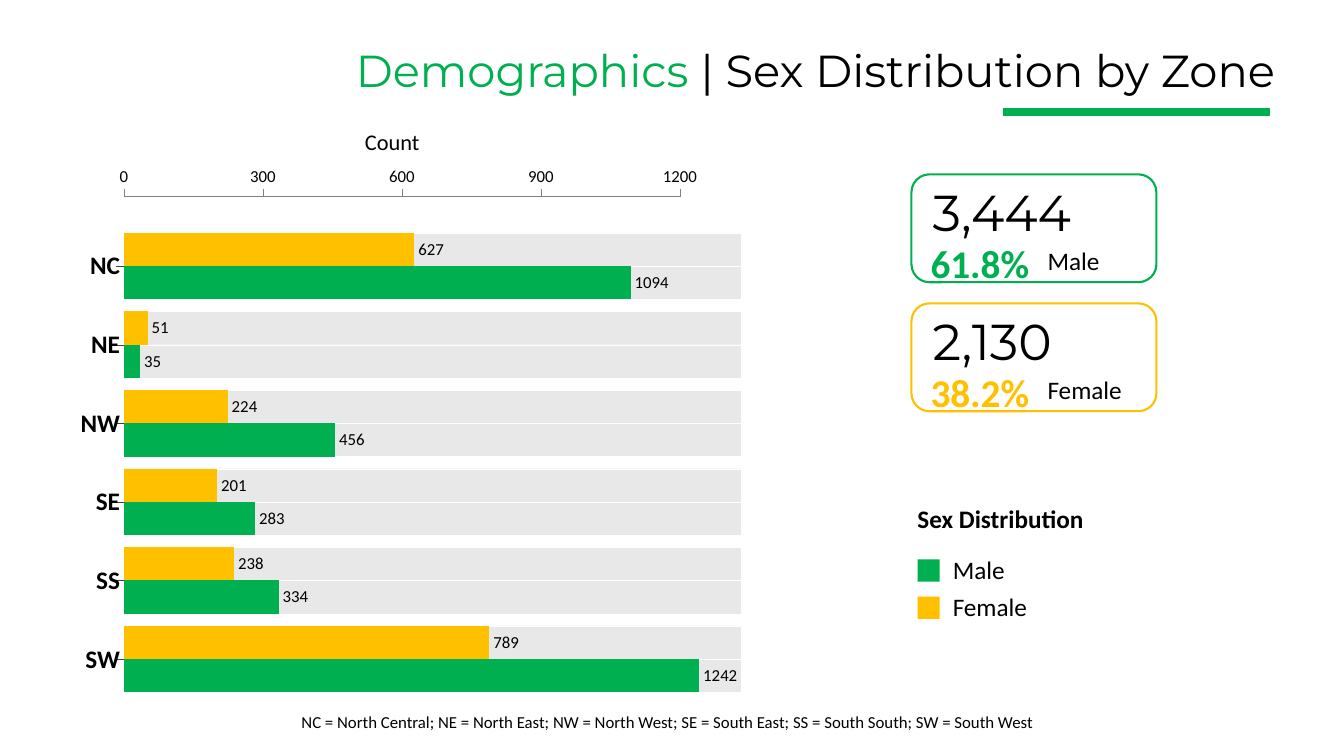
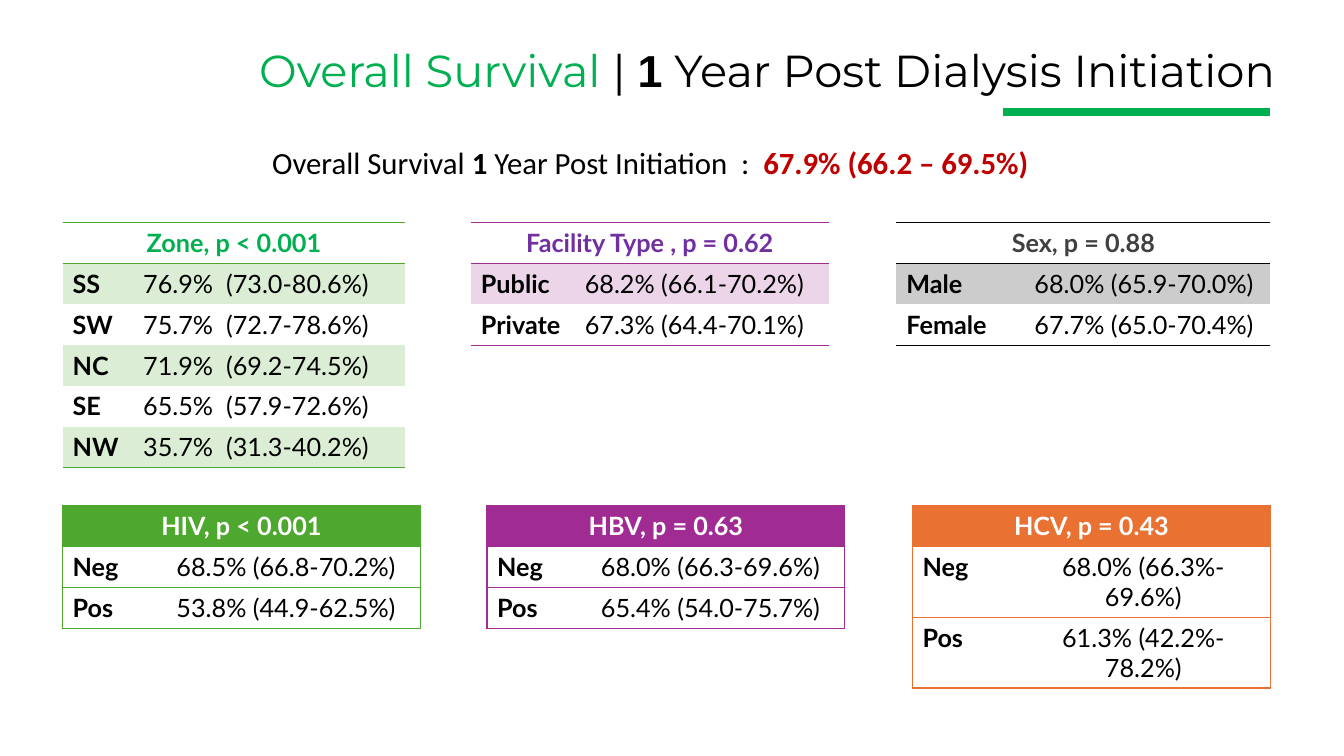
"""Build two dialysis registry slides: sex distribution by zone and one-year survival."""
from lxml import etree
from pptx import Presentation, util as u
from pptx.chart import data as chart_data
from pptx.dml.color import RGBColor
from pptx.enum import chart as chart_enum, shapes, text
from pptx.oxml import ns, parse_xml

GREEN, GOLD = RGBColor(0x00, 0xB0, 0x50), RGBColor(0xFF, 0xC0, 0x00)
BLACK, WHITE = RGBColor(0, 0, 0), RGBColor(0xFF, 0xFF, 0xFF)
TRACK, GREY, DARK = RGBColor(0xE8, 0xE8, 0xE8), RGBColor(0x80, 0x80, 0x80), RGBColor(0x40, 0x40, 0x40)
LEAF, PLUM = RGBColor(0x4E, 0xA7, 0x2E), RGBColor(0xA0, 0x2B, 0x93)
PURPLE, ORANGE, RED = RGBColor(0x70, 0x30, 0xA0), RGBColor(0xE9, 0x71, 0x32), RGBColor(0xC0, 0, 0)
LEFT, CENTER, RIGHT = text.PP_ALIGN.LEFT, text.PP_ALIGN.CENTER, text.PP_ALIGN.RIGHT
BODY, DISPLAY, TABLE_FONT = "Calibri", "Montserrat", "Lato"
WIDTH, HEIGHT = 13.33, 7.5
BAND_LEFT, BAND_RIGHT = 9.95, 12.6

ZONES = ["NC", "NE", "NW", "SE", "SS", "SW"]
COUNTS = [("Female", GOLD, [627, 51, 224, 201, 238, 789]),
          ("Male", GREEN, [1094, 35, 456, 283, 334, 1242])]
CARDS = [("3,444", "61.8%", "Male", GREEN), ("2,130", "38.2%", "Female", GOLD)]
ZONE_KEY = ("NC = North Central; NE = North East; NW = North West; "
            "SE = South East; SS = South South; SW = South West")
SCALE = [0, 300, 600, 900, 1200]
PLOT_LEFT, PLOT_WIDTH, PLOT_MAX = 1.23, 6.12, 1332
PLOT_TOP, ZONE_PITCH, BAR = 2.25, 0.78, 0.33
FRAME = (0.3, 2.1, 7.7, 5.0)

SURVIVAL = [("Overall Survival ", {}), ("1", {"bold": True}), (" Year Post Initiation  :  ", {}),
            ("67.9% (66.2 – 69.5%)", {"bold": True, "color": RED})]
ROW = 0.405
UPPER, LOWER = 2.21, 5.02
TABLES = [
    dict(at=(0.62, UPPER), columns=(0.7, 2.7), title="Zone, p < 0.001", ink=GREEN, accent=LEAF,
         rows=[("SS", "76.9%  (73.0-80.6%)"), ("SW", "75.7%  (72.7-78.6%)"),
               ("NC", "71.9%  (69.2-74.5%)"), ("SE", "65.5%  (57.9-72.6%)"),
               ("NW", "35.7%  (31.3-40.2%)")]),
    dict(at=(4.67, UPPER), columns=(1.03, 2.52), title="Facility Type , p = 0.62", ink=PURPLE, accent=PLUM,
         rows=[("Public", "68.2% (66.1-70.2%)"), ("Private", "67.3% (64.4-70.1%)")]),
    dict(at=(8.89, UPPER), columns=(1.27, 2.44), title="Sex, p = 0.88", ink=DARK, accent=BLACK,
         rows=[("Male", "68.0% (65.9-70.0%)"), ("Female", "67.7% (65.0-70.4%)")]),
    dict(at=(0.62, LOWER), columns=(1.03, 2.52), title="HIV, p < 0.001", accent=LEAF, boxed=True,
         rows=[("Neg", "68.5% (66.8-70.2%)"), ("Pos", "53.8% (44.9-62.5%)")]),
    dict(at=(4.83, LOWER), columns=(1.03, 2.52), title="HBV, p = 0.63", accent=PLUM, boxed=True,
         rows=[("Neg", "68.0% (66.3-69.6%)"), ("Pos", "65.4% (54.0-75.7%)")]),
    dict(at=(9.05, LOWER), columns=(1.03, 2.52), title="HCV, p = 0.43", accent=ORANGE, boxed=True,
         align=CENTER, rows=[("Neg", "68.0% (66.3%-69.6%)"), ("Pos", "61.3% (42.2%-78.2%)")]),
]


def inches(values):
    return [u.Inches(value) for value in values]


def style_font(font, size=18, name=BODY, bold=False, color=BLACK):
    for key, value in {"size": u.Pt(size), "name": name, "bold": bold}.items():
        setattr(font, key, value)
    font.color.rgb = color


def write(frame, spans, align=LEFT, **base):
    para = frame.paragraphs[0]
    para.alignment = align
    for words, change in spans:
        span = para.add_run()
        span.text = words
        style_font(span.font, **{**base, **change})


def add_text(page, at, spans, align=LEFT, **base):
    frame = page.shapes.add_textbox(*inches(at)).text_frame
    for side in ("left", "right", "top", "bottom"):
        setattr(frame, "margin_" + side, 0)
    frame.word_wrap = True
    spans = [(spans, {})] if isinstance(spans, str) else spans
    write(frame, spans, align, **base)


def add_box(page, at, fill=None, line=None, weight=0.1, kind=shapes.MSO_SHAPE.RECTANGLE):
    box = page.shapes.add_shape(kind, *inches(at))
    box.shadow.inherit = False
    for part, color in ((box.fill, fill), (box.line.fill, line)):
        if color is None:
            part.background()
        else:
            part.solid()
            part.fore_color.rgb = color
    if line is not None:
        box.line.width = u.Pt(weight)


def add_line(page, ends, color, weight):
    line = page.shapes.add_connector(shapes.MSO_CONNECTOR.STRAIGHT, *inches(ends))
    line.line.color.rgb = color
    line.line.width = u.Pt(weight)
    etree.SubElement(line.element.spPr, ns.qn("a:effectLst"))


def add_page(deck, topic, rest):
    page = deck.slides.add_slide(deck.slide_layouts[6])
    spans = [(topic + " ", {"color": GREEN}), ("| ", {}), *rest]
    add_text(page, (0.65, 0.42, 12, 0.54), spans, RIGHT, size=32, name=DISPLAY)
    add_line(page, (BAND_LEFT, 1.11, BAND_RIGHT, 1.11), GREEN, 6)
    return page


def clear_and_place(chart):
    """Make the chart see-through and pin its plot to the tracks."""
    left, top, width, height = FRAME
    shares = {"x": (PLOT_LEFT - left) / width, "y": (PLOT_TOP - top) / height,
              "w": PLOT_WIDTH / width, "h": ZONE_PITCH * len(ZONES) / height}
    marks = "".join(f'<c:{key} val="{value:.4f}"/>' for key, value in shares.items())
    layout = (f'<c:layout {ns.nsdecls("c")}><c:manualLayout><c:layoutTarget val="inner"/>'
              f'<c:xMode val="edge"/><c:yMode val="edge"/>{marks}</c:manualLayout></c:layout>')
    clear = f'<c:spPr {ns.nsdecls("c", "a")}><a:noFill/><a:ln><a:noFill/></a:ln></c:spPr>'
    body = chart.element.find(ns.qn("c:chart"))
    plot_area = body.find(ns.qn("c:plotArea"))
    for old in plot_area.findall(ns.qn("c:layout")):
        plot_area.remove(old)
    plot_area.insert(0, parse_xml(layout))
    plot_area.append(parse_xml(clear))
    body.addnext(parse_xml(clear))


def add_bars(page):
    figures = chart_data.CategoryChartData()
    figures.categories = ZONES
    for name, _, values in COUNTS:
        figures.add_series(name, values)
    chart = page.shapes.add_chart(chart_enum.XL_CHART_TYPE.BAR_CLUSTERED, *inches(FRAME), figures).chart
    style_font(chart.font, 12)
    chart.has_legend = chart.has_title = False
    plot = chart.plots[0]
    for key, value in {"gap_width": 36, "overlap": 0, "vary_by_categories": False,
                       "has_data_labels": True}.items():
        setattr(plot, key, value)
    plot.data_labels.show_value = True
    plot.data_labels.position = chart_enum.XL_LABEL_POSITION.OUTSIDE_END
    style_font(plot.data_labels.font, 12)
    for series, (_, color, _) in zip(plot.series, COUNTS):
        series.format.fill.solid()
        series.format.fill.fore_color.rgb = color
    value_axis, zone_axis = chart.value_axis, chart.category_axis
    for key, value in {"minimum_scale": 0, "maximum_scale": PLOT_MAX, "major_unit": 300,
                       "has_major_gridlines": False, "visible": False}.items():
        setattr(value_axis, key, value)
    zone_axis.reverse_order = True
    zone_axis.major_tick_mark = chart_enum.XL_TICK_MARK.NONE
    zone_axis.format.line.fill.background()
    style_font(zone_axis.tick_labels.font, 18, bold=True)
    clear_and_place(chart)


def add_scale(page):
    ticks = [PLOT_LEFT + PLOT_WIDTH * value / PLOT_MAX for value in SCALE]
    add_text(page, (2.89, 1.27, 2, 0.27), "Count", CENTER, size=16)
    add_line(page, (ticks[0], 1.95, ticks[-1], 1.95), GREY, 0.25)
    for value, x in zip(SCALE, ticks):
        add_line(page, (x, 1.88, x, 1.95), GREY, 0.25)
        add_text(page, (x - 0.3, 1.64, 0.6, 0.2), str(value), CENTER, size=12)


def build_demographics(deck):
    page = add_page(deck, "Demographics", [("Sex Distribution by Zone", {})])
    for number in range(len(ZONES)):
        middle = PLOT_TOP + ZONE_PITCH * (number + 0.5)
        for top in (middle - BAR, middle):
            add_box(page, (PLOT_LEFT, top, PLOT_WIDTH, BAR), TRACK, WHITE)
        add_line(page, (PLOT_LEFT - 0.08, middle, PLOT_LEFT, middle), DARK, 0.25)
    add_scale(page)
    add_bars(page)
    add_text(page, (2.99, 7.06, 8, 0.2), ZONE_KEY, size=12)
    add_text(page, (9.1, 4.99, 2.5, 0.3), "Sex Distribution", bold=True)
    for number, (total, share, sex, color) in enumerate(CARDS):
        top = 1.73 + 1.28 * number
        add_box(page, (9.04, top, 2.43, 1.07), None, color, 1.5, shapes.MSO_SHAPE.ROUNDED_RECTANGLE)
        add_text(page, (9.25, top + 0.07, 2, 0.61), total, size=36, name=DISPLAY)
        add_text(page, (9.23, top + 0.64, 1.1, 0.47), share, size=28, bold=True, color=color)
        add_text(page, (10.39, top + 0.7, 1, 0.3), sex)
        key_top = 5.55 + 0.37 * number
        add_box(page, (9.1, key_top, 0.22, 0.22), color)
        add_text(page, (9.45, key_top - 0.05, 1.2, 0.3), sex)


def tint(color):
    return RGBColor(*(round(255 - 0.2 * (255 - channel)) for channel in color))


def format_cell(cell, sides, line, fill):
    properties = cell._tc.get_or_add_tcPr()
    for side in "LRTB":
        paint = f'<a:solidFill><a:srgbClr val="{line}"/></a:solidFill>' if side in sides else "<a:noFill/>"
        properties.append(parse_xml(f'<a:ln{side} {ns.nsdecls("a")} w="12700">{paint}</a:ln{side}>'))
    if fill is None:
        cell.fill.background()
    else:
        cell.fill.solid()
        cell.fill.fore_color.rgb = fill


def add_survival_table(page, at, columns, title, accent, rows, ink=WHITE, boxed=False, align=LEFT):
    size = (sum(columns), ROW * (len(rows) + 1))
    table = page.shapes.add_table(len(rows) + 1, 2, *inches(at + size)).table
    table.first_row = table.horz_banding = False
    table._tbl.tblPr.find(ns.qn("a:tableStyleId")).text = "{2D5ABB26-0587-4C30-8999-92F81FD0307C}"
    for column, width in zip(table.columns, columns):
        column.width = u.Inches(width)
    for row in table.rows:
        row.height = u.Inches(ROW)
    table.cell(0, 0).merge(table.cell(0, 1))
    write(table.cell(0, 0).text_frame, [(title, {})], CENTER, name=TABLE_FONT, bold=True, color=ink)
    for x in range(2):
        format_cell(table.cell(0, x), "LRTB" if boxed else "TB", accent, accent if boxed else None)
    for y, row in enumerate(rows, 1):
        for x, words in enumerate(row):
            cell = table.cell(y, x)
            write(cell.text_frame, [(words, {})], align if x else LEFT, name=TABLE_FONT, bold=x == 0)
            sides = "TB" + "LR"[x] if boxed else "T" * (y == 1) + "B" * (y == len(rows))
            format_cell(cell, sides, accent, tint(accent) if y % 2 and not boxed else None)


def build_survival(deck):
    page = add_page(deck, "Overall Survival", [("1", {"name": "Arial", "bold": True}),
                                               (" Year Post Dialysis Initiation", {})])
    for table in TABLES:
        add_survival_table(page, **table)
    add_text(page, (2.45, 1.43, 8, 0.37), SURVIVAL, CENTER, size=22)


def main():
    deck = Presentation()
    deck.slide_width, deck.slide_height = inches((WIDTH, HEIGHT))
    build_demographics(deck)
    build_survival(deck)
    deck.save("out.pptx")


if __name__ == "__main__":
    main()
